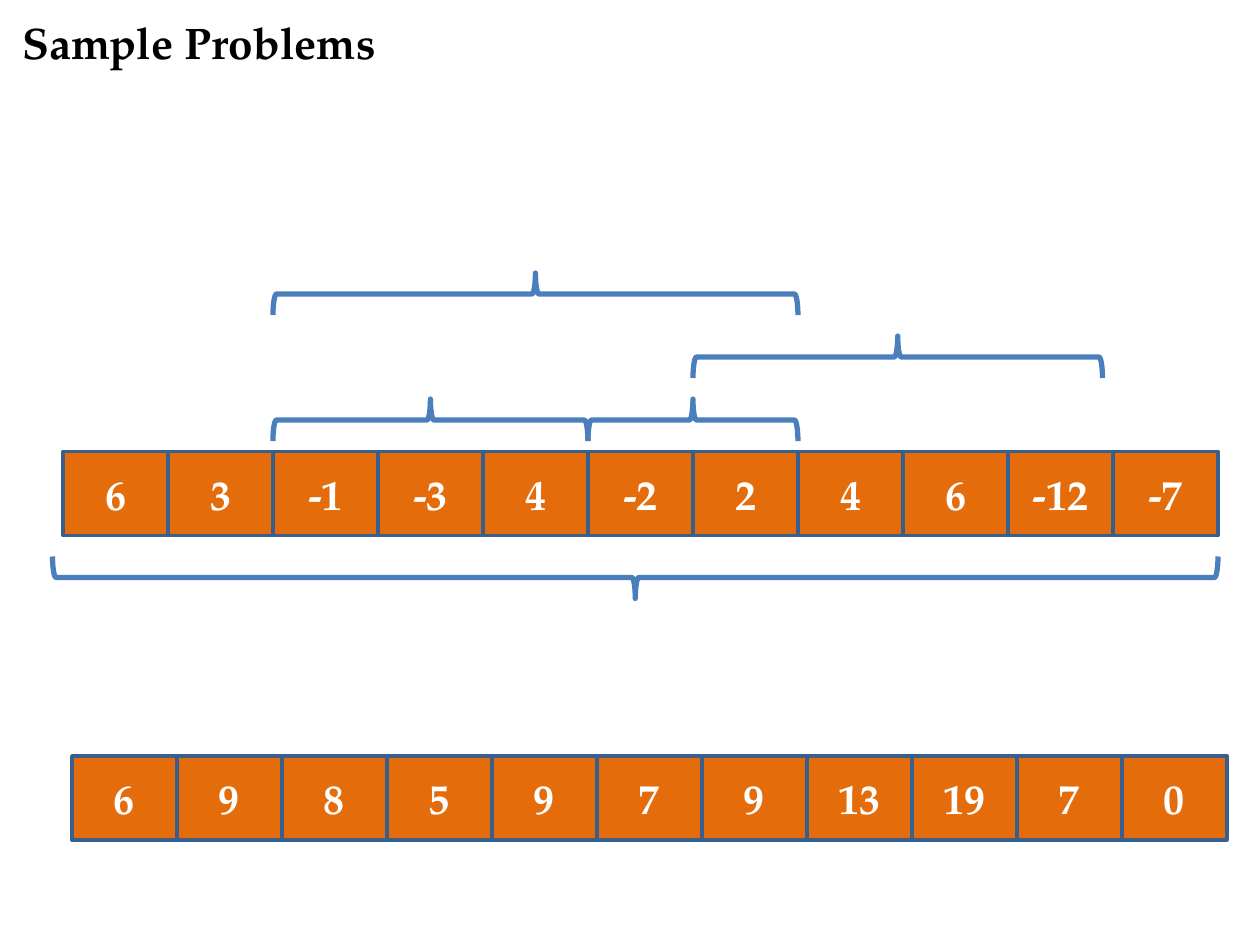
from pptx import Presentation
from pptx.dml.color import RGBColor
from pptx.enum.shapes import MSO_SHAPE as Shape
from pptx.enum.text import MSO_ANCHOR as Anchor, PP_ALIGN as Align
from pptx.util import Inches, Pt

BLACK = RGBColor(0x00, 0x00, 0x00)
WHITE = RGBColor(0xFF, 0xFF, 0xFF)
ORANGE = RGBColor(0xE4, 0x6C, 0x0A)
CELL_EDGE = RGBColor(0x3A, 0x5F, 0x8C)
BRACE_BLUE = RGBColor(0x4B, 0x7E, 0xBC)

FONT = "TeX Gyre Pagella"
TITLE_FONT = {"name": FONT, "size": Pt(25.2), "bold": True}
CELL_FONT = {"name": FONT, "size": Pt(24), "bold": True}

# The slide is a grid of 120 columns by 90 rows
CELL_W, CELL_H, BRACE_H = 10, 8, 4
INPUT_LEFT, INPUT_TOP = 6, 43
SUMS_LEFT, SUMS_TOP = 6.85, 72

INPUT = [6, 3, -1, -3, 4, -2, 2, 4, 6, -12, -7]
PREFIX_SUMS = [6, 9, 8, 5, 9, 7, 9, 13, 19, 7, 0]

# first cell, cells covered, top row, rotation
BRACES = [
    (-0.1, 11.1, 53, 90),
    (5, 2, 38, 270),
    (6, 3.9, 32, 270),
    (2, 3, 38, 270),
    (2, 5, 26, 270),
]


def grid(units):
    return Inches(units / 12)


def write(shape, text, font, color, align):
    tf = shape.text_frame
    tf.word_wrap = True
    tf.vertical_anchor = Anchor.MIDDLE
    p = tf.paragraphs[0]
    p.alignment = align
    r = p.add_run()
    r.text = text
    for name, value in font.items():
        setattr(r.font, name, value)
    r.font.color.rgb = color


def outline(shape, color, width):
    shape.shadow.inherit = False
    shape.line.color.rgb = color
    shape.line.width = Pt(width)


def add_title(s, text):
    sp = s.shapes.add_textbox(grid(1), grid(1), grid(116), grid(6))
    write(sp, text, TITLE_FONT, BLACK, Align.LEFT)


def add_array(group, values, left, top):
    for i, value in enumerate(values):
        sp = group.shapes.add_shape(Shape.RECTANGLE, grid(left + i * CELL_W),
                                    grid(top), grid(CELL_W), grid(CELL_H))
        sp.fill.solid()
        sp.fill.fore_color.rgb = ORANGE
        outline(sp, CELL_EDGE, 2)
        write(sp, str(value), CELL_FONT, WHITE, Align.CENTER)


def add_brace(group, first, count, top, rotation):
    """Lay a brace across cells; it is upright before being turned about its centre."""
    span = count * CELL_W
    center_x = INPUT_LEFT + first * CELL_W + span / 2
    center_y = top + BRACE_H / 2
    sp = group.shapes.add_shape(Shape.RIGHT_BRACE, grid(center_x - BRACE_H / 2),
                                grid(center_y - span / 2), grid(BRACE_H), grid(span))
    sp.rotation = rotation
    sp.fill.background()
    outline(sp, BRACE_BLUE, 3)


def main():
    prs = Presentation()
    prs.slide_width, prs.slide_height = grid(120), grid(90)
    s = prs.slides.add_slide(prs.slide_layouts[6])
    add_title(s, "Sample Problems")
    ranges = s.shapes.add_group_shape()
    add_array(ranges, INPUT, INPUT_LEFT, INPUT_TOP)
    for brace in BRACES:
        add_brace(ranges, *brace)
    add_array(s.shapes.add_group_shape(), PREFIX_SUMS, SUMS_LEFT, SUMS_TOP)
    prs.save("out.pptx")


if __name__ == "__main__":
    main()
